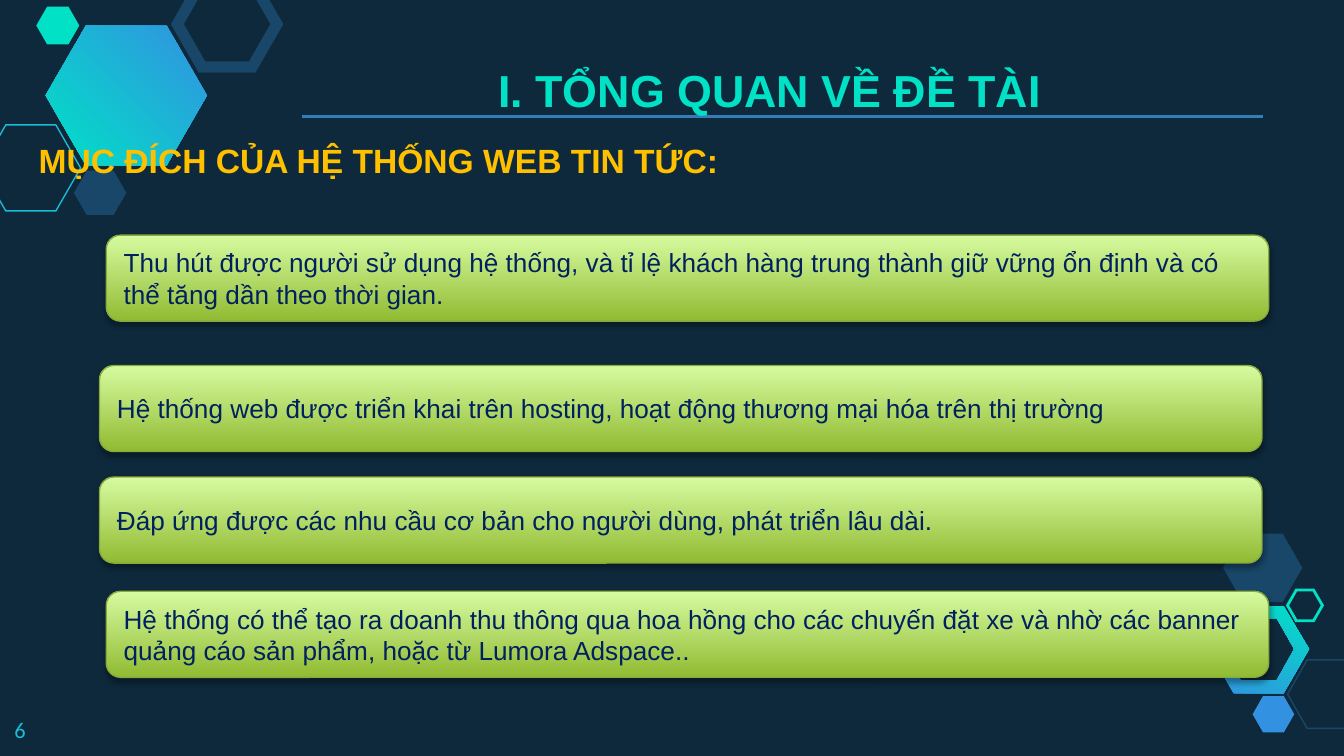
from lxml import etree
from pptx import Presentation
from pptx.dml.color import RGBColor
from pptx.enum.shapes import MSO_CONNECTOR, MSO_SHAPE
from pptx.enum.text import MSO_ANCHOR, PP_ALIGN
from pptx.oxml.ns import qn
from pptx.util import Inches, Pt

HEXAGON = MSO_SHAPE.HEXAGON
ROUNDED = MSO_SHAPE.ROUNDED_RECTANGLE
STRAIGHT = MSO_CONNECTOR.STRAIGHT
MIDDLE = MSO_ANCHOR.MIDDLE
LEFT, JUSTIFY = PP_ALIGN.LEFT, PP_ALIGN.JUSTIFY

NIGHT = RGBColor(0x0E, 0x29, 0x3C)
TEAL = RGBColor(0x00, 0xE1, 0xC6)
CYAN = RGBColor(0x19, 0xBB, 0xD5)
BLUE = RGBColor(0x32, 0x92, 0xE1)
STEEL = RGBColor(0x18, 0x47, 0x69)
RULE = RGBColor(0x34, 0x7E, 0xB8)
GOLD = RGBColor(0xFF, 0xC0, 0x00)
NAVY = RGBColor(0x00, 0x20, 0x60)
GREEN = RGBColor(0x91, 0xBB, 0x32)
LIME = RGBColor(0xD6, 0xFB, 0xA0)
OLIVE = RGBColor(0x89, 0xAA, 0x3E)
BLACK = RGBColor(0, 0, 0)

TITLE = "I. TỔNG QUAN VỀ ĐỀ TÀI"
SUBTITLE = "MỤC ĐÍCH CỦA HỆ THỐNG WEB TIN TỨC:"
SLIDE_NUMBER = "6"
PURPOSES = [
    (0.79, 1.75, "Thu hút được người sử dụng hệ thống, và tỉ lệ khách hàng trung thành "
                 "giữ vững ổn định và có thể tăng dần theo thời gian."),
    (0.74, 2.72, "Hệ thống web được triển khai trên hosting, hoạt động thương mại hóa "
                 "trên thị trường"),
    (0.74, 3.55, "Đáp ứng được các nhu cầu cơ bản cho người dùng, phát triển lâu dài."),
    (0.79, 4.4, "Hệ thống có thể tạo ra doanh thu thông qua hoa hồng cho các chuyến đặt xe "
                "và nhờ các banner quảng cáo sản phẩm, hoặc từ Lumora Adspace.."),
]
PURPOSE_SIZE = (8.65, 0.64)

UNITS_PER_INCH = 100
RING = [
    [(918, 516), (899, 483), (918, 451), (955, 451), (974, 483), (955, 516)],
    [(923, 506), (950, 506), (963, 483), (950, 460), (923, 460), (909, 483)],
]
LARGE_HEXAGON = [
    [(154, 71), (124, 123), (64, 123), (34, 71), (64, 19), (124, 19)],
]
SMALL_HEXAGONS = [
    ((-0.14, 0.93, 0.74, 0.64), CYAN, 0.75),
    ((0.55, 1.27, 0.39, 0.33), STEEL, None),
    ((1.32, -0.14, 0.74, 0.64), STEEL, 6),
    ((0.27, 0.05, 0.32, 0.28), TEAL, None),
    ((9.58, 4.91, 0.59, 0.51), STEEL, 0.75),
    ((9.32, 5.18, 0.31, 0.27), BLUE, None),
    ((9.1, 3.97, 0.59, 0.51), STEEL, None),
    ((9.58, 4.39, 0.26, 0.23), TEAL, 1.5),
]


def fill_gradient(shape, colors, angle):
    shape.fill.gradient()
    shape.fill.gradient_angle = angle
    for stop, color in zip(shape.fill.gradient_stops, colors):
        stop.color.rgb = color


def set_line(shape, color, width):
    shape.line.color.rgb = color
    shape.line.width = Pt(width)


def add_outline(slide, contours, angle):
    scale = Inches(1) / UNITS_PER_INCH
    builder = slide.shapes.build_freeform(*contours[0][0], scale=scale)
    for index, points in enumerate(contours):
        if index:
            builder.move_to(*points[0])
        builder.add_line_segments(points[1:], close=True)
    shape = builder.convert_to_shape()
    shape.shadow.inherit = False
    fill_gradient(shape, (BLUE, TEAL), angle)
    shape.line.fill.background()


def add_hexagon(slide, box, color, line_width):
    shape = slide.shapes.add_shape(HEXAGON, *map(Inches, box))
    shape.adjustments[0] = 0.287
    shape.shadow.inherit = False
    if line_width:
        shape.fill.background()
        set_line(shape, color, line_width)
        line = shape._element.spPr.find(qn("a:ln"))
        etree.SubElement(line, qn("a:miter"), lim="800000")
    else:
        shape.fill.solid()
        shape.fill.fore_color.rgb = color
        shape.line.fill.background()


def write(shape, text, size, color, font="Arial", bold=False, align=LEFT):
    shape.text_frame.word_wrap = True
    paragraph = shape.text_frame.paragraphs[0]
    paragraph.text = text
    paragraph.alignment = align
    paragraph.font.name = font
    paragraph.font.size = Pt(size)
    paragraph.font.bold = bold
    paragraph.font.color.rgb = color
    return paragraph


def add_text(slide, box, margin, *style, **options):
    shape = slide.shapes.add_textbox(*map(Inches, box))
    shape.text_frame.margin_top = shape.text_frame.margin_bottom = Inches(margin)
    return write(shape, *style, **options)


def add_shadow(shape):
    shape.shadow.inherit = False
    effects = shape._element.spPr.find(qn("a:effectLst"))
    shadow = etree.SubElement(effects, qn("a:outerShdw"), blurRad=str(Pt(3.1)),
                              dist=str(Pt(1.8)), dir="5400000", rotWithShape="0")
    color = etree.SubElement(shadow, qn("a:srgbClr"), val=str(BLACK))
    etree.SubElement(color, qn("a:alpha"), val="35000")


def add_purpose(slide, left, top, text):
    shape = slide.shapes.add_shape(ROUNDED, *map(Inches, (left, top, *PURPOSE_SIZE)))
    fill_gradient(shape, (GREEN, LIME), 90)
    set_line(shape, OLIVE, 0.75)
    add_shadow(shape)
    shape.text_frame.vertical_anchor = MIDDLE
    write(shape, text, 14, NAVY)


def main():
    presentation = Presentation()
    presentation.slide_width = Inches(10)
    presentation.slide_height = Inches(10) * 9 // 16
    slide = presentation.slides.add_slide(presentation.slide_layouts[6])
    slide.background.fill.solid()
    slide.background.fill.fore_color.rgb = NIGHT

    add_outline(slide, RING, 64)
    add_outline(slide, LARGE_HEXAGON, 225)
    for hexagon in SMALL_HEXAGONS:
        add_hexagon(slide, *hexagon)

    add_text(slide, (0.19, 0.94, 5.64, 0.62), 0.1, SUBTITLE, 18, GOLD, bold=True, align=JUSTIFY)
    add_text(slide, (0.01, 5.23, 0.6, 0.39), 0.1, SLIDE_NUMBER, 12, CYAN, font="Calibri")

    rule = slide.shapes.add_connector(STRAIGHT, *map(Inches, (2.25, 0.87, 9.4, 0.87)))
    set_line(rule, RULE, 1.5)
    etree.SubElement(rule._element.spPr, qn("a:effectLst"))

    title = add_text(slide, (3.61, 0.02, 4.43, 0.79), 0.05, TITLE, 24, TEAL, bold=True)
    title.line_spacing = 2.0

    for purpose in PURPOSES:
        add_purpose(slide, *purpose)

    presentation.save("out.pptx")


if __name__ == "__main__":
    main()
